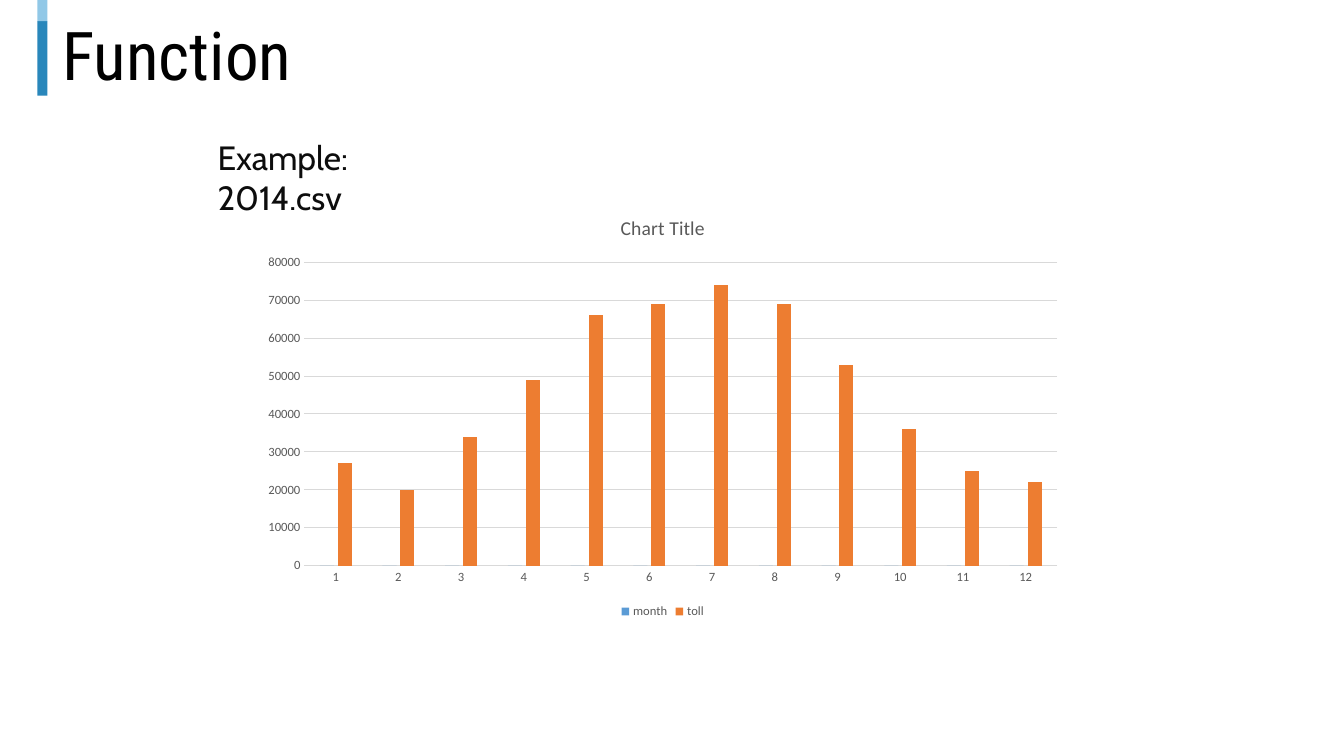
from pptx import Presentation
from pptx.chart.data import CategoryChartData
from pptx.dml.color import RGBColor
from pptx.enum.chart import XL_CHART_TYPE, XL_LEGEND_POSITION, XL_TICK_MARK
from pptx.enum.shapes import MSO_SHAPE
from pptx.enum.text import MSO_ANCHOR
from pptx.util import Pt

COLUMNS = XL_CHART_TYPE.COLUMN_CLUSTERED
BOTTOM = XL_LEGEND_POSITION.BOTTOM
NO_TICK = XL_TICK_MARK.NONE
RECTANGLE = MSO_SHAPE.RECTANGLE
TOP, MIDDLE = MSO_ANCHOR.TOP, MSO_ANCHOR.MIDDLE

COLORS = {
    "black": "000000", "ink": "0D0D0D", "label": "595959", "grid": "D9D9D9",
    "bar": "2987BB", "bar_tip": "91C8E7", "month": "5B9BD5", "toll": "ED7D31",
}
TEXTS = [
    ("Function", (37.44, 15.12, 911.52, 53.28), "Roboto Condensed", 48, "black", MIDDLE, 0.9),
    ("Example: 2014.csv", (148.32, 94.32, 192.24, 36), "Cabin", 24, "ink", TOP, 1),
]
BARS = [
    ((26.64, 15.12, 7.2, 53.28), "bar"),
    ((26.64, 0, 7.2, 15.12), "bar_tip"),
]
CHART_BOX = (180, 140.4, 586.8, 304.56)
CHART_TITLE = "Chart Title"
MONTHS = [str(month) for month in range(1, 13)]
SERIES = {
    "month": [0] * 12,
    "toll": [27000, 20000, 34000, 49000, 66000, 69000,
             74000, 69000, 53000, 36000, 25000, 22000],
}


def color(name):
    return RGBColor.from_string(COLORS[name])


def points(box):
    return [Pt(length) for length in box]


def style(font, face, size, name):
    font.name, font.size, font.bold = face, Pt(size), False
    font.color.rgb = color(name)


def draw_line(line):
    line.color.rgb = color("grid")
    line.width = Pt(0.75)


def add_text(slide, words, box, face, size, name, anchor, spacing):
    frame = slide.shapes.add_textbox(*points(box)).text_frame
    frame.word_wrap = True
    frame.vertical_anchor = anchor
    para = frame.paragraphs[0]
    para.line_spacing = spacing
    span = para.add_run()
    span.text = words
    style(span.font, face, size, name)


def add_bar(slide, box, name):
    bar = slide.shapes.add_shape(RECTANGLE, *points(box))
    bar.shadow.inherit = False
    bar.fill.solid()
    bar.fill.fore_color.rgb = color(name)
    bar.line.fill.background()


def add_toll_chart(slide):
    data = CategoryChartData()
    data.categories = MONTHS
    for name, values in SERIES.items():
        data.add_series(name, values)
    chart = slide.shapes.add_chart(COLUMNS, *points(CHART_BOX), data).chart
    style(chart.font, "Calibri", 10, "black")

    chart.has_title = True
    span = chart.chart_title.text_frame.paragraphs[0].add_run()
    span.text = CHART_TITLE
    style(span.font, "Calibri", 14, "label")
    chart.chart_title.include_in_layout = False

    chart.has_legend = True
    chart.legend.position = BOTTOM
    chart.legend.include_in_layout = False
    style(chart.legend.font, "Calibri", 9, "label")

    for axis in (chart.category_axis, chart.value_axis):
        axis.major_tick_mark = axis.minor_tick_mark = NO_TICK
        style(axis.tick_labels.font, "Calibri", 9, "label")
    draw_line(chart.category_axis.format.line)
    chart.value_axis.format.line.fill.background()
    draw_line(chart.value_axis.major_gridlines.format.line)
    chart.value_axis.minimum_scale = 0
    chart.value_axis.maximum_scale = 80000
    chart.value_axis.major_unit = 10000

    plot = chart.plots[0]
    plot.gap_width, plot.overlap = 219, -27
    plot.vary_by_categories = False
    for series in plot.series:
        series.format.fill.solid()
        series.format.fill.fore_color.rgb = color(series.name)


def main():
    """Build the slide with the monthly toll chart."""
    deck = Presentation()
    deck.slide_width, deck.slide_height = Pt(960), Pt(540)
    slide = deck.slides.add_slide(deck.slide_layouts[6])
    for text in TEXTS:
        add_text(slide, *text)
    for bar in BARS:
        add_bar(slide, *bar)
    add_toll_chart(slide)
    deck.save("out.pptx")


if __name__ == "__main__":
    main()
